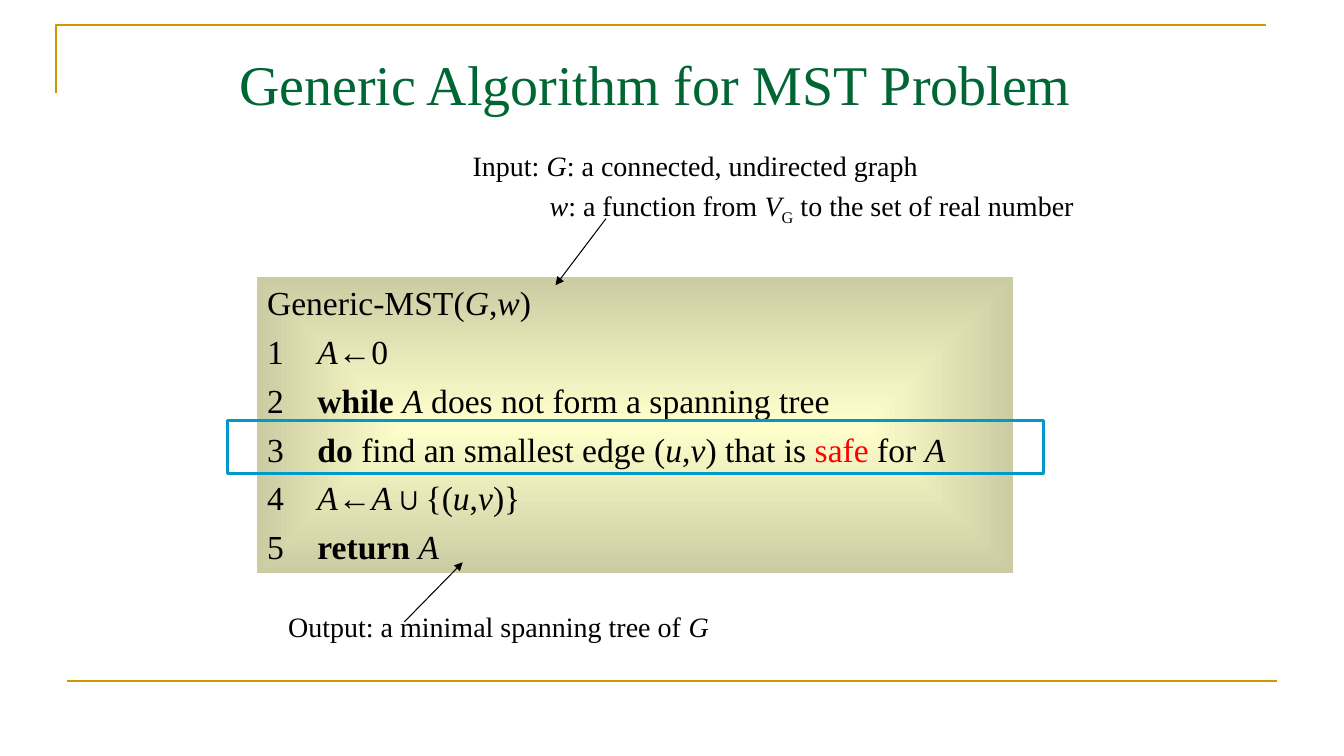
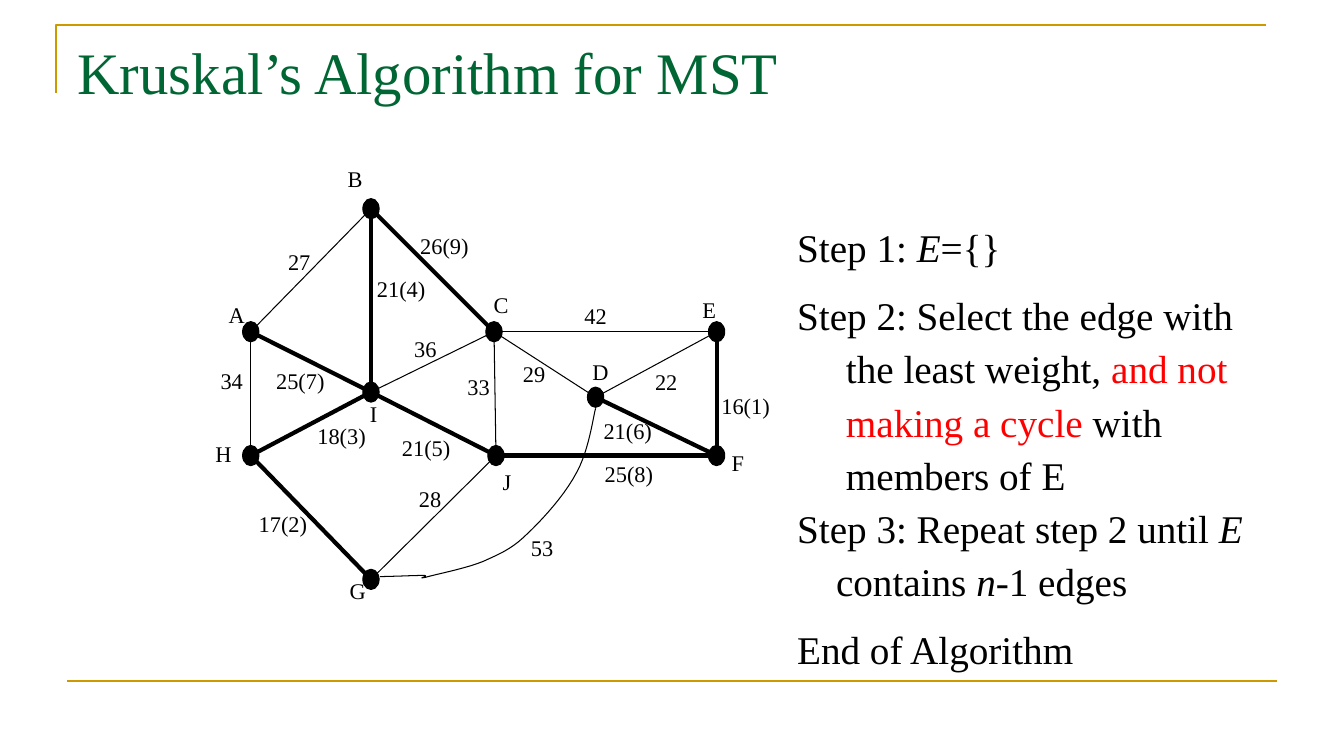
"""Build two slides on minimum spanning trees."""
from dataclasses import dataclass
from math import hypot

from lxml.etree import SubElement
from pptx import Presentation
from pptx.dml.color import RGBColor as Rgb
from pptx.enum.shapes import MSO_CONNECTOR as Link, MSO_SHAPE as Preset
from pptx.enum.text import MSO_ANCHOR as Anchor, MSO_AUTO_SIZE as AutoSize, PP_ALIGN as Align
from pptx.oxml.ns import qn
from pptx.util import Cm, Pt


@dataclass(frozen=True)
class Theme:
    """Colours, type sizes and line widths of the deck."""
    font: str = "Times New Roman"
    ink: Rgb = Rgb.from_string("000000")
    title: Rgb = Rgb.from_string("006633")
    gold: Rgb = Rgb.from_string("CC9900")
    alert: Rgb = Rgb.from_string("FF0000")
    focus: Rgb = Rgb.from_string("0099CC")
    code_center: Rgb = Rgb.from_string("FFFFCC")
    code_edge: Rgb = Rgb.from_string("CCCCA3")
    step_size: int = 28
    code_size: int = 24
    note_size: int = 20
    graph_size: int = 16
    thin: float = 0.75
    rule: float = 1.5
    frame: float = 2.25
    thick: float = 3


THEME = Theme()
STYLES = {
    "plain": {},
    "i": {"italic": True},
    "b": {"bold": True},
    "red": {"color": THEME.alert},
    "sub": {"baseline": "-25000"},
}

ALGORITHM = [
    (["Generic-MST(", ("G", "i"), ",", ("w", "i"), ")"], 0),
    (["1\t", ("A", "i"), "←0"], 1.06),
    (["2\t", ("while ", "b"), ("A", "i"), " does not form a spanning tree"], 1.06),
    (["3\t", ("do", "b"), " find an smallest edge (", ("u", "i"), ",", ("v", "i"),
      ") that is ", ("safe", "red"), " for ", ("A", "i")], 1.92),
    (["4\t", ("A", "i"), "←", ("A", "i"), "∪{(", ("u", "i"), ",", ("v", "i"), ")}"], 1.92),
    (["5\t", ("return ", "b"), ("A", "i")], 1.06),
]
INPUTS = [
    (["Input: ", ("G", "i"), ": a connected, undirected graph"], {}),
    ([("w", "i"), ": a function from ", ("V", "i"), ("G", "sub"),
      " to the set of real number"], {"space_before": Pt(4.9), "left": 1.94}),
]
OUTPUT = [(["Output: a minimal spanning tree of ", ("G", "i")], {})]
STEPS = [
    (["Step 1: ", ("E", "i"), "={}"], {}),
    (["Step 2: Select the edge with the least weight, ",
      ("and not making a cycle ", "red"), "with members of E"],
     {"space_before": Pt(10.7), "left": 1.23, "first": -1.23}),
    (["Step 3: Repeat step 2 until ", ("E", "i"), " contains ", ("n", "i"), "-1 edges"],
     {"left": 0.98, "first": -0.98}),
    (["End of Algorithm"], {"space_before": Pt(10.7)}),
]

# vertex: centre, then corner of its letter
VERTICES = {
    "A": ((6.32, 8.36), (5.51, 7.47)),
    "B": ((9.35, 5.26), (8.51, 4.04)),
    "C": ((12.45, 8.36), (12.19, 7.21)),
    "D": ((15.01, 10.01), (14.68, 8.89)),
    "E": ((18.06, 8.36), (17.45, 7.34)),
    "F": ((18.06, 11.48), (18.19, 11.2)),
    "G": ((9.35, 14.6), (8.56, 14.43)),
    "H": ((6.32, 11.48), (5.18, 10.97)),
    "I": ((9.35, 9.88), (9.07, 9.96)),
    "J": ((12.5, 11.48), (12.42, 11.66)),
}
EDGES = [
    ("AB", "27", (7.01, 6.12)), ("AH", "34", (5.31, 9.12)),
    ("BC", "26(9)", (10.34, 5.72)), ("HG", "17(2)", (6.27, 12.73)),
    ("GJ", "28", (10.31, 12.09)), ("JC", "33", (11.53, 9.27)),
    ("AI", "25(7)", (6.71, 9.12)), ("HI", "18(3)", (7.75, 10.52)),
    ("IC", "36", (10.19, 8.31)), ("IJ", "21(5)", (9.88, 10.82)),
    ("BI", "21(4)", (9.25, 6.81)), ("CE", "42", (14.48, 7.49)),
    ("JF", "25(8)", (14.99, 11.48)), ("FE", "16(1)", (17.93, 9.75)),
    ("CD", "29", (12.93, 8.94)), ("DE", "22", (16.26, 9.14)),
    ("DF", "21(6)", (14.96, 10.39)),
]
ARC_WEIGHT = ("53", (13.13, 13.34))
ARC_START = (15.01, 10.29)
ARC = [
    ((14.94, 10.57), (14.83, 11.38), (14.53, 11.91)),
    ((14.25, 12.45), (13.69, 13.08), (13.28, 13.46)),
    ((12.9, 13.84), (12.57, 13.97), (12.17, 14.15)),
    ((11.73, 14.33), (10.95, 14.48), (10.72, 14.55)),
    ((10.46, 14.6), (10.87, 14.5), (10.67, 14.5)),
    ((10.49, 14.5), (9.8, 14.53), (9.58, 14.53)),
]


def apply(target, formats):
    """Set each named attribute on the target."""
    for name, value in formats.items():
        setattr(target, name, value)


def stroke(shape, color, width):
    """Give a shape or connector a solid line."""
    shape.line.color.rgb = color
    shape.line.width = Pt(width)


def write_runs(paragraph, pieces, size, color=THEME.ink):
    """Write plain strings and (text, style) pairs as runs."""
    for piece in pieces:
        text, style = (piece, "plain") if isinstance(piece, str) else piece
        formats = dict(STYLES[style])
        run = paragraph.add_run()
        run.text = text
        run.font.color.rgb = formats.pop("color", color)
        baseline = formats.pop("baseline", None)
        apply(run.font, {"name": THEME.font, "size": Pt(size), **formats})
        if baseline:
            run.font._element.set("baseline", baseline)


def write_paragraphs(frame, paragraphs, size):
    """Fill a text frame with formatted paragraphs."""
    apply(frame, {"word_wrap": True, "vertical_anchor": Anchor.TOP})
    for index, (pieces, formats) in enumerate(paragraphs):
        paragraph = frame.add_paragraph() if index else frame.paragraphs[0]
        formats = {"alignment": Align.LEFT, **formats}
        properties = paragraph._p.get_or_add_pPr()
        properties.set("marL", str(Cm(formats.pop("left", 0))))
        properties.set("indent", str(Cm(formats.pop("first", 0))))
        tab = formats.pop("tab", 0)
        if tab:
            stops = SubElement(properties, qn("a:tabLst"))
            SubElement(stops, qn("a:tab"), pos=str(Cm(tab)), algn="l")
        apply(paragraph, formats)
        write_runs(paragraph, pieces, size)


def add_text(slide, box, paragraphs, size):
    """Add a text box."""
    area = slide.shapes.add_textbox(*map(Cm, box))
    write_paragraphs(area.text_frame, paragraphs, size)


def add_label(slide, corner, text):
    """Add a short label of the graph."""
    add_text(slide, (*corner, 2 if len(text) > 1 else 1, 1), [([text], {})], THEME.graph_size)


def add_line(slide, start, end, color=THEME.ink, width=THEME.thin, arrow=False):
    """Add a straight line, with an arrowhead at its end on request."""
    line = slide.shapes.add_connector(Link.STRAIGHT, *map(Cm, (*start, *end)))
    stroke(line, color, width)
    if arrow:
        SubElement(line.line._get_or_add_ln(), qn("a:tailEnd"), type="triangle")
    SubElement(line._element.spPr, qn("a:effectLst"))
    return line


def add_outline(slide, points, color, width):
    """Add an open, unfilled outline through the points."""
    first, *rest = [tuple(map(Cm, point)) for point in points]
    builder = slide.shapes.build_freeform(*first)
    builder.add_line_segments(rest, close=False)
    outline = builder.convert_to_shape()
    outline.shadow.inherit = False
    outline.fill.background()
    stroke(outline, color, width)
    return outline


def add_preset(slide, preset, box):
    """Add a preset shape without shadow."""
    shape = slide.shapes.add_shape(preset, *map(Cm, box))
    shape.shadow.inherit = False
    return shape


def add_titled_slide(deck, layout, title, box, size):
    """Add a slide and format its title."""
    slide = deck.slides.add_slide(layout)
    heading = slide.shapes.title
    apply(heading, dict(zip(("left", "top", "width", "height"), map(Cm, box))))
    frame = heading.text_frame
    apply(frame, {"auto_size": AutoSize.NONE, "word_wrap": True, "vertical_anchor": Anchor.TOP})
    frame.paragraphs[0].alignment = Align.LEFT
    write_runs(frame.paragraphs[0], [title], size, THEME.title)
    return slide


def move_frame_to_layout(slide, layout):
    """Draw the gold rules once and hand them to the layout."""
    rules = (
        add_outline(slide, [(1.42, 2.34), (1.42, 0.64), (31.9, 0.64)], THEME.gold, THEME.rule),
        add_line(slide, (1.7, 17.15), (32.18, 17.15), THEME.gold, THEME.rule),
    )
    for number, rule in enumerate(rules, 100):
        rule.element.xpath(".//p:cNvPr")[0].set("id", str(number))
        layout.shapes.element.append(rule.element)


def add_code_panel(slide, box):
    """Add the pseudocode on a gradient that is lightest in the middle."""
    panel = add_preset(slide, Preset.RECTANGLE, box)
    panel.line.fill.background()
    panel.fill.gradient()
    for stop, color, place in zip(panel.fill.gradient_stops,
                                  (THEME.code_center, THEME.code_edge), (0, 1)):
        stop.color.rgb = color
        stop.position = place
    gradient = panel._element.spPr.find(qn("a:gradFill"))
    gradient.remove(gradient.find(qn("a:lin")))
    shade = SubElement(gradient, qn("a:path"))
    shade.set("path", "shape")
    SubElement(shade, qn("a:fillToRect"), dict.fromkeys("ltrb", "50000"))
    lines = [(pieces, {"tab": tab, "space_before": Pt(6 if index else 0)})
             for index, (pieces, tab) in enumerate(ALGORITHM)]
    write_paragraphs(panel.text_frame, lines, THEME.code_size)


def add_edge(slide, start, end, width, gap=0.2):
    """Join two vertices, stopping short of their centres."""
    (x1, y1), (x2, y2) = start, end
    share = gap / hypot(x2 - x1, y2 - y1)
    dx, dy = (x2 - x1) * share, (y2 - y1) * share
    add_line(slide, (x1 + dx, y1 + dy), (x2 - dx, y2 - dy), width=width)


def arc_points(steps=10):
    """Return points along the chain of cubic curves."""
    points = [ARC_START]
    for curve in ARC:
        corners = (points[-1], *curve)
        for step in range(1, steps + 1):
            t = step / steps
            weights = ((1 - t) ** 3, 3 * t * (1 - t) ** 2, 3 * t * t * (1 - t), t ** 3)
            points.append(tuple(sum(w * c[axis] for w, c in zip(weights, corners))
                                for axis in (0, 1)))
    return points


def add_graph(slide, dot_width=0.41, dot_height=0.51):
    """Draw the weighted graph; ranked edges belong to the tree."""
    for (x, y), _ in VERTICES.values():
        dot = add_preset(slide, Preset.OVAL,
                         (x - dot_width / 2, y - dot_height / 2, dot_width, dot_height))
        dot.fill.solid()
        dot.fill.fore_color.rgb = THEME.ink
        stroke(dot, THEME.ink, THEME.thin)
    for (start, end), weight, _ in EDGES:
        width = THEME.thick if "(" in weight else THEME.thin
        add_edge(slide, VERTICES[start][0], VERTICES[end][0], width)
    add_outline(slide, arc_points(), THEME.ink, THEME.thin)
    for _, weight, corner in EDGES:
        add_label(slide, corner, weight)
    add_label(slide, ARC_WEIGHT[1], ARC_WEIGHT[0])
    for letter, (_, corner) in VERTICES.items():
        add_label(slide, corner, letter)


def main():
    """Build and save the deck."""
    deck = Presentation()
    apply(deck, {"slide_width": Cm(33.87), "slide_height": Cm(19.05)})
    layout = deck.slide_layouts[5]

    generic = add_titled_slide(deck, layout, "Generic Algorithm for MST Problem",
                               (5.77, 1.12, 22.86, 2.36), 40)
    move_frame_to_layout(generic, layout)
    add_code_panel(generic, (6.48, 6.99, 19.05, 7.44))
    add_text(generic, (11.66, 3.61, 16.08, 2.11), INPUTS, THEME.note_size)
    add_line(generic, (15.27, 5.51), (14, 7.19), arrow=True)
    add_text(generic, (7.01, 15.24, 16.08, 1.09), OUTPUT, THEME.note_size)
    add_line(generic, (10.19, 15.67), (11.66, 14.17), arrow=True)
    focus = add_preset(generic, Preset.RECTANGLE, (5.74, 10.59, 20.55, 1.35))
    focus.fill.background()
    stroke(focus, THEME.focus, THEME.frame)

    kruskal = add_titled_slide(deck, layout, "Kruskal’s Algorithm for MST",
                               (1.7, 0.76, 30.48, 3.18), 42)
    add_graph(kruskal)
    steps = [(pieces, {"line_spacing": 1.13, **formats}) for pieces, formats in STEPS]
    add_text(kruskal, (19.84, 5.35, 12.17, 11.63), steps, THEME.step_size)
    deck.save("out.pptx")


if __name__ == "__main__":
    main()
